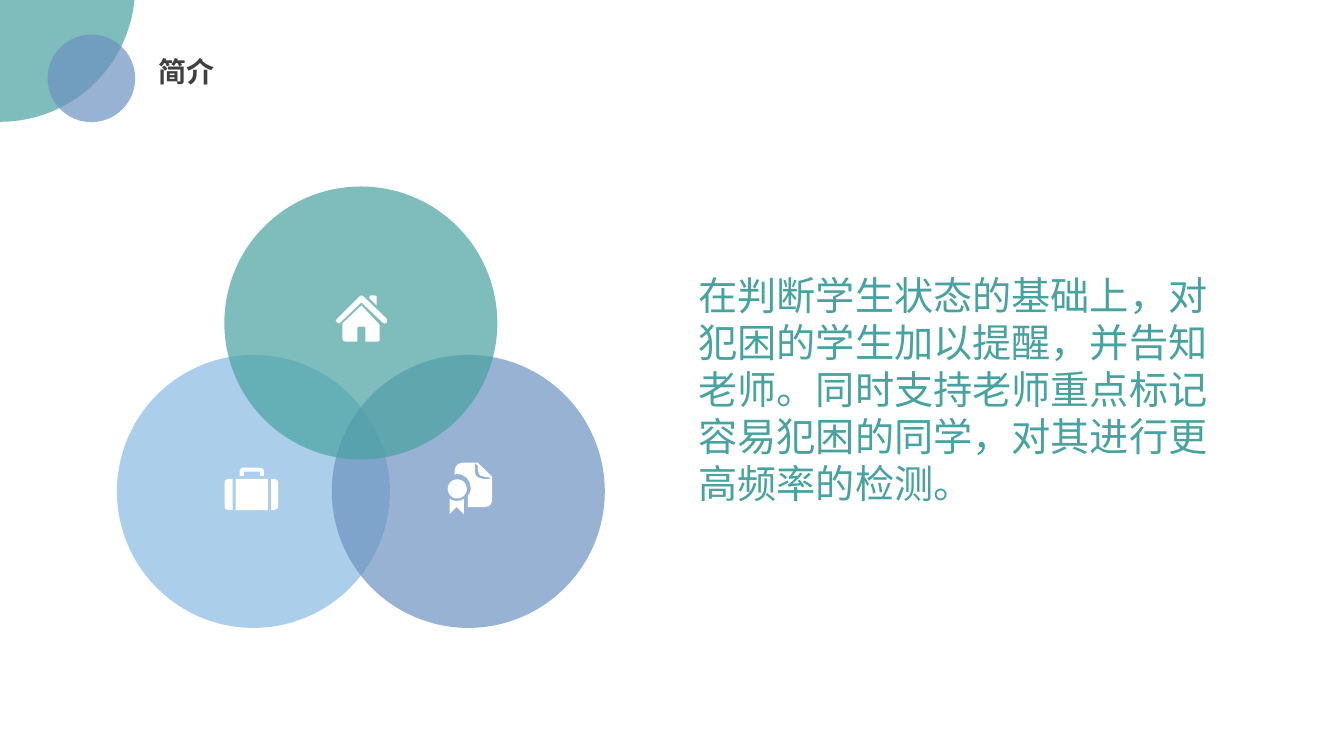
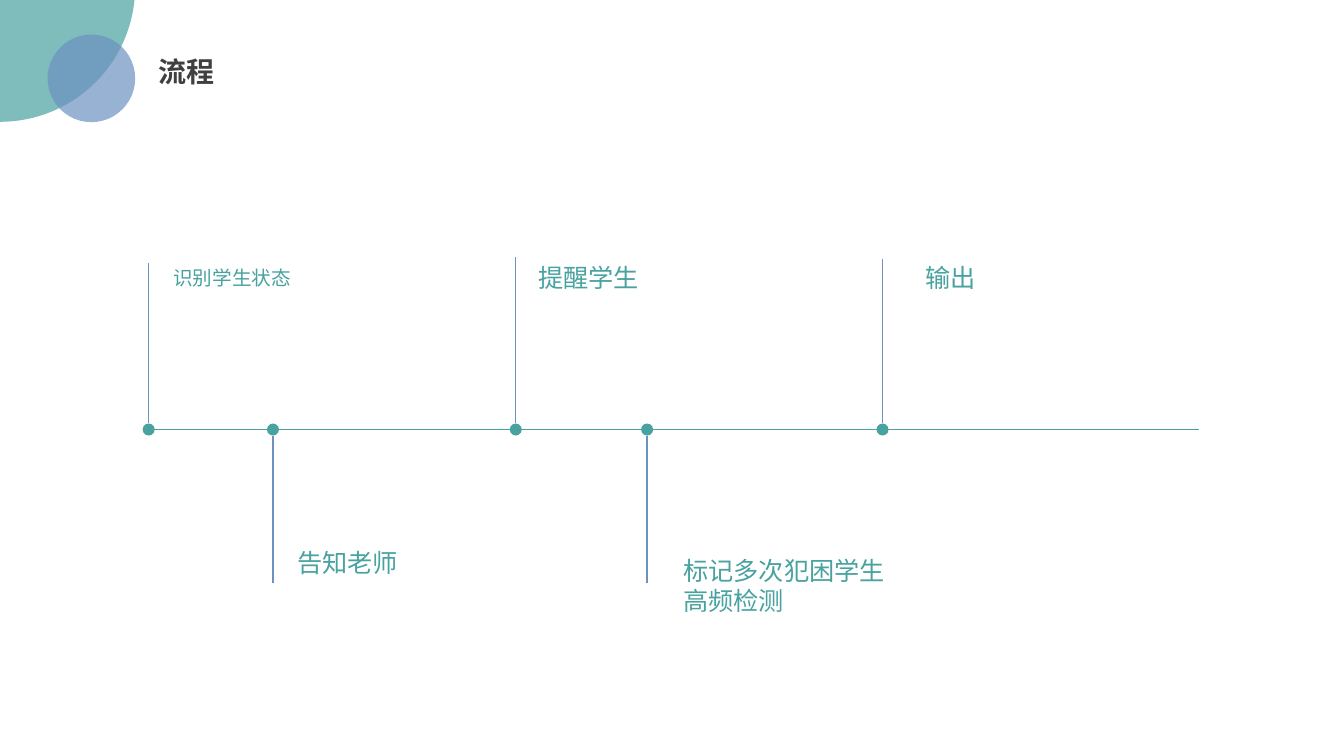
import math

import pptx
from lxml import etree
from pptx.dml import color
from pptx.enum import shapes, text
from pptx.oxml import ns
from pptx.util import Pt

FONT = "Noto Sans CJK SC"
TEAL, BLUE, SKY, DARK, WHITE = "48A2A0", "6C92C0", "0070C0", "404040", "FFFFFF"
TITLE_ONLY = 5
ICON_UNIT = 0.72  # points per unit of the icon outlines

HOUSE = [
    [(41, 1), (39, 0), (35, 0), (34, 1), (34, 3), (41, 10)],
    [(51, 23), (28, 1), (26, 0), (24, 1), (2, 23), (0.5, 25), (2, 27), (3.5, 28),
     (5, 27), (26, 7), (47, 27), (49, 28), (51, 27), (51.5, 25)],
    [(7, 28), (7, 43), (8, 45), (10, 46), (22, 46), (22, 32), (23, 31), (29, 31),
     (30, 32), (30, 46), (42, 46), (44, 45), (44, 43), (44, 29), (26, 10)],
]
SUITCASE = [
    [(19, 4), (35, 4), (35, 8), (39, 8), (39, 3), (38, 1), (35, 0), (18, 0),
     (16, 1), (15, 3), (15, 8), (19, 8)],
    [(0, 14), (0, 39), (1, 41), (4, 42), (8, 42), (8, 11), (4, 11), (1, 12)],
    [(11, 42), (43, 42), (43, 11), (11, 11)],
    [(49, 11), (46, 11), (46, 42), (49, 42), (52, 41), (53, 39), (53, 14), (52, 12)],
]
MEDAL = [(9.5 + 9.5 * math.cos(math.radians(angle)), 26 + 9.5 * math.sin(math.radians(angle)))
         for angle in range(0, 360, 15)]
CERTIFICATE = [
    [(30, 0), (14, 0), (10, 1.5), (8, 4), (7, 7), (7, 12), (9, 11), (14, 12), (19, 15),
     (22, 20), (23, 26), (22, 30), (20, 33), (20, 44), (37, 44), (41, 43), (43, 41),
     (44, 37), (44, 14)],
    [(35, 16), (31, 15), (28, 13), (27, 9), (27, 0), (30, 3), (30, 7), (31, 11),
     (33, 13), (37, 14), (40, 14), (43, 16)],
    [(2, 36), (2, 51), (9, 44), (16, 51), (16, 36), (12.5, 37.5), (9, 38), (5.5, 37.5)],
    MEDAL,
]


def rgb(hex_string):
    return color.RGBColor.from_string(hex_string)


def paint(shape, hex_string, opacity=100):
    """Give a shape a plain fill, without line or shadow."""
    shape.shadow.inherit = False
    shape.line.fill.background()
    shape.fill.solid()
    shape.fill.fore_color.rgb = rgb(hex_string)
    if opacity < 100:
        fill_color = shape._element.spPr.find(ns.qn("a:solidFill"))[0]
        etree.SubElement(fill_color, ns.qn("a:alpha"), val=str(opacity * 1000))


def add_circle(slide, left, top, diameter, hex_string, opacity=100):
    circle = slide.shapes.add_shape(
        shapes.MSO_SHAPE.OVAL, Pt(left), Pt(top), Pt(diameter), Pt(diameter))
    paint(circle, hex_string, opacity)


def add_line(slide, start, end, hex_string):
    line = slide.shapes.add_connector(
        shapes.MSO_CONNECTOR.STRAIGHT, *(Pt(value) for value in (*start, *end)))
    line.line.color.rgb = rgb(hex_string)
    line.line.width = Pt(1)
    etree.SubElement(line._element.spPr, ns.qn("a:effectLst"))


def add_icon(slide, left, top, outlines):
    scaled = [[(x * Pt(ICON_UNIT), y * Pt(ICON_UNIT)) for x, y in outline] for outline in outlines]
    builder = slide.shapes.build_freeform(*scaled[0][0], scale=1.0)
    for number, outline in enumerate(scaled):
        if number:
            builder.move_to(*outline[0])
        builder.add_line_segments(outline[1:], close=True)
    paint(builder.convert_to_shape(Pt(left), Pt(top)), WHITE)


def write(frame, wording, size, hex_string=TEAL, bold=False, wrap=True):
    frame.word_wrap = wrap
    frame.auto_size = text.MSO_AUTO_SIZE.NONE
    frame.vertical_anchor = text.MSO_ANCHOR.TOP
    frame.text = wording
    for paragraph in frame.paragraphs:
        paragraph.alignment = text.PP_ALIGN.LEFT
        for run in paragraph.runs:
            run.font.size = Pt(size)
            run.font.bold = bold
            run.font.color.rgb = rgb(hex_string)
            run.font.name = FONT
            etree.SubElement(run._r.get_or_add_rPr(), ns.qn("a:ea"), typeface=FONT)


def add_text(slide, left, top, width, height, wording, size):
    box = slide.shapes.add_textbox(Pt(left), Pt(top), Pt(width), Pt(height))
    write(box.text_frame, wording, size)


def add_titled_slide(presentation, wording):
    slide = presentation.slides.add_slide(presentation.slide_layouts[TITLE_ONLY])
    add_circle(slide, -96.5, -106, 193, TEAL, 70)
    add_circle(slide, 34, 24.7, 62.6, BLUE, 70)
    title = slide.shapes.title
    title.left, title.top, title.width, title.height = Pt(106), Pt(35.3), Pt(55), Pt(31.7)
    write(title.text_frame, wording, 20, DARK, bold=True, wrap=False)
    return slide


def add_venn(slide, left, top, width, height, diameter=195):
    right, bottom = left + width - diameter, top + height - diameter
    middle = (left + right) / 2
    circles = [
        (left, bottom, SKY, 33, SUITCASE, (77, 80.6)),
        (right, bottom, BLUE, 70, CERTIFICATE, (82.8, 77)),
        (middle, top, TEAL, 70, HOUSE, (79.2, 77.8)),
    ]
    for x, y, hex_string, opacity, _, _ in circles:
        add_circle(slide, x, y, diameter, hex_string, opacity)
    for x, y, _, _, outlines, (shift_x, shift_y) in circles:
        add_icon(slide, x + shift_x, y + shift_y, outlines)


def add_timeline(slide, left, axis_y, width, steps, dot=8.6):
    """Draw an axis with dots; each step holds its distance along the axis,
    its stem height (negative is down), its label's shift, size and text."""
    add_line(slide, (left, axis_y), (left + width, axis_y), TEAL)
    for distance, stem, (shift_x, shift_y), size, wording in steps:
        x = left + distance
        edge = math.copysign(dot / 2, stem)
        add_line(slide, (x, axis_y - edge), (x, axis_y - stem), BLUE)
        add_circle(slide, x - dot / 2, axis_y - dot / 2, dot, TEAL)
        height = 1.6 * size * (wording.count("\n") + 1)
        add_text(slide, x + shift_x, axis_y + shift_y, 173, height, wording, size)


def add_introduction(presentation):
    slide = add_titled_slide(presentation, "简介")
    add_venn(slide, 83.5, 133.2, 348.5, 315.3)
    add_text(slide, 491.8, 190, 403, 177,
             "在判断学生状态的基础上，对犯困的学生加以提醒，并告知老师。"
             "同时支持老师重点标记容易犯困的同学，对其进行更高频率的检测。", 28)


def add_process(presentation):
    slide = add_titled_slide(presentation, "流程")
    add_timeline(slide, 106.2, 306.8, 750, [
        (0, 119, (10.5, -120.3), 14, "识别学生状态"),
        (88.8, -110, (10.2, 80.6), 18, "告知老师"),
        (262.2, 123, (8.9, -123.2), 18, "提醒学生"),
        (356, -109.3, (18.8, 86.3), 18, "标记多次犯困学生\n高频检测"),
        (524.2, 121.8, (23.4, -123.2), 18, "输出"),
    ])


def main():
    presentation = pptx.Presentation()
    presentation.slide_width, presentation.slide_height = Pt(960), Pt(540)
    add_introduction(presentation)
    add_process(presentation)
    presentation.save("out.pptx")


if __name__ == "__main__":
    main()
